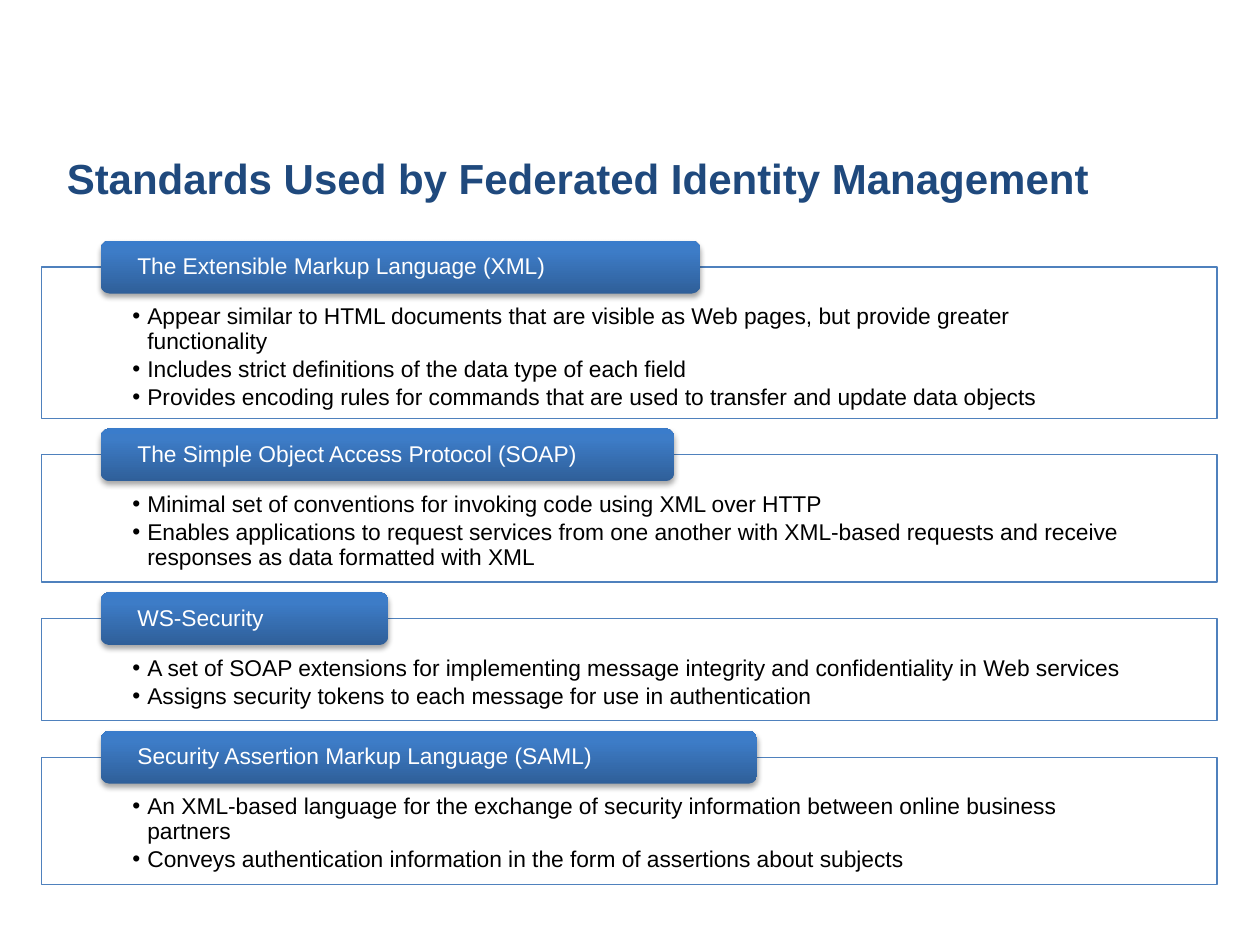
from dataclasses import dataclass

from lxml import etree
from pptx import Presentation
from pptx.dml.color import RGBColor
from pptx.enum.shapes import MSO_SHAPE
from pptx.enum.text import MSO_ANCHOR, PP_ALIGN
from pptx.oxml.ns import qn
from pptx.util import Inches, Pt

RECT = MSO_SHAPE.RECTANGLE
ROUND = MSO_SHAPE.ROUNDED_RECTANGLE
TOP = MSO_ANCHOR.TOP
MIDDLE = MSO_ANCHOR.MIDDLE
BOTTOM = MSO_ANCHOR.BOTTOM
LEFT = PP_ALIGN.LEFT


@dataclass(frozen=True)
class Theme:
    font: str = "Arial"
    navy: str = "1F497D"
    edge: str = "4F81BD"
    white: str = "FFFFFF"
    black: str = "000000"
    fade: tuple = ((0, "2F5F99"), (80, "3D7CC7"), (100, "3A7CCB"))
    head: int = 24
    text: int = 13


def add_node(parent, tag, **attrs):
    node = etree.SubElement(parent, qn(tag))
    for name, value in attrs.items():
        node.set(name, str(value))
    return node


def add_color(parent, color, alpha):
    node = add_node(parent, "a:srgbClr", val=color)
    add_node(node, "a:alpha", val=alpha * 1000)


class Deck:
    def __init__(self, theme, slide):
        self.theme = theme
        self.slide = slide

    def style(self, para, color, size, bold=False):
        para.alignment = LEFT
        font = para.font
        font.name = self.theme.font
        font.size = Pt(size)
        font.bold = bold
        font.color.rgb = RGBColor.from_string(color)

    def title(self, text, left, top, width, height):
        shape = self.slide.shapes.title
        shape.left, shape.top = Inches(left), Inches(top)
        shape.width, shape.height = Inches(width), Inches(height)
        frame = shape.text_frame
        frame.vertical_anchor = BOTTOM
        frame.text = text
        self.style(frame.paragraphs[0], self.theme.navy, self.theme.head, True)

    def block(self, kind, box, anchor, insets):
        shape = self.slide.shapes.add_shape(kind, *map(Inches, box))
        shape.shadow.inherit = False
        frame = shape.text_frame
        frame.word_wrap = True
        frame.vertical_anchor = anchor
        side, top, base = map(Inches, insets)
        frame.margin_left = frame.margin_right = side
        frame.margin_top, frame.margin_bottom = top, base
        return shape

    def panel(self, items, *box):
        shape = self.block(RECT, box, TOP, (0.72, 0.3, 0.1))
        shape.fill.solid()
        shape.fill.fore_color.rgb = RGBColor.from_string(self.theme.white)
        tint = shape._element.spPr.find(qn("a:solidFill"))[0]
        add_node(tint, "a:alpha", val=90000)
        shape.line.color.rgb = RGBColor.from_string(self.theme.edge)
        shape.line.width = Pt(0.75)
        frame = shape.text_frame
        for index, item in enumerate(items):
            para = frame.add_paragraph() if index else frame.paragraphs[0]
            para.text = item
            para.level = 1
            para.line_spacing = 0.9
            para.space_after = Pt(2)
            props = para._p.get_or_add_pPr()
            props.set("marL", str(Inches(0.12)))
            props.set("indent", str(-Inches(0.12)))
            add_node(props, "a:buFont", typeface=self.theme.font)
            add_node(props, "a:buChar", char="•")
            self.style(para, self.theme.black, self.theme.text)

    def tab(self, text, *box):
        shape = self.block(ROUND, box, MIDDLE, (0.27, 0, 0))
        shape.line.fill.background()
        props = shape._element.spPr
        fade = etree.Element(qn("a:gradFill"), rotWithShape="1")
        stops = add_node(fade, "a:gsLst")
        for place, color in self.theme.fade:
            add_color(add_node(stops, "a:gs", pos=place * 1000), color, 100)
        add_node(fade, "a:lin", ang=270 * 60000, scaled=0)
        props.find(qn("a:prstGeom")).addnext(fade)
        shade = add_node(
            props.find(qn("a:effectLst")), "a:outerShdw",
            blurRad=Pt(3.1), dist=Pt(1.8), dir=90 * 60000, rotWithShape=0,
        )
        add_color(shade, self.theme.black, 35)
        para = shape.text_frame.paragraphs[0]
        para.text = text
        para.line_spacing = 0.9
        self.style(para, self.theme.white, self.theme.text)


CARDS = (
    ("The Extensible Markup Language (XML)", 4.76, 1.2, (
        "Appear similar to HTML documents that are visible as Web pages, "
        "but provide greater functionality",
        "Includes strict definitions of the data type of each field",
        "Provides encoding rules for commands that are used to transfer "
        "and update data objects",
    )),
    ("The Simple Object Access Protocol (SOAP)", 4.55, 1.01, (
        "Minimal set of conventions for invoking code using XML over HTTP",
        "Enables applications to request services from one another with "
        "XML-based requests and receive responses as data formatted with XML",
    )),
    ("WS-Security", 2.28, 0.81, (
        "A set of SOAP extensions for implementing message integrity and "
        "confidentiality in Web services",
        "Assigns security tokens to each message for use in authentication",
    )),
    ("Security Assertion Markup Language (SAML)", 5.21, 1.01, (
        "An XML-based language for the exchange of security information "
        "between online business partners",
        "Conveys authentication information in the form of assertions "
        "about subjects",
    )),
)


def main():
    prs = Presentation()
    prs.slide_width, prs.slide_height = Inches(10), Inches(7.5)
    deck = Deck(Theme(), prs.slides.add_slide(prs.slide_layouts[5]))
    deck.title("Standards Used by Federated Identity Management",
               0.43, 1, 9.21, 0.66)
    top, gap, rise = 2.12, 0.29, 0.21
    for name, width, height, items in CARDS:
        deck.panel(items, 0.33, top, 9.33, height)
        deck.tab(name, 0.8, top - rise, width, 2 * rise)
        top += height + gap
    prs.save("out.pptx")


if __name__ == "__main__":
    main()
